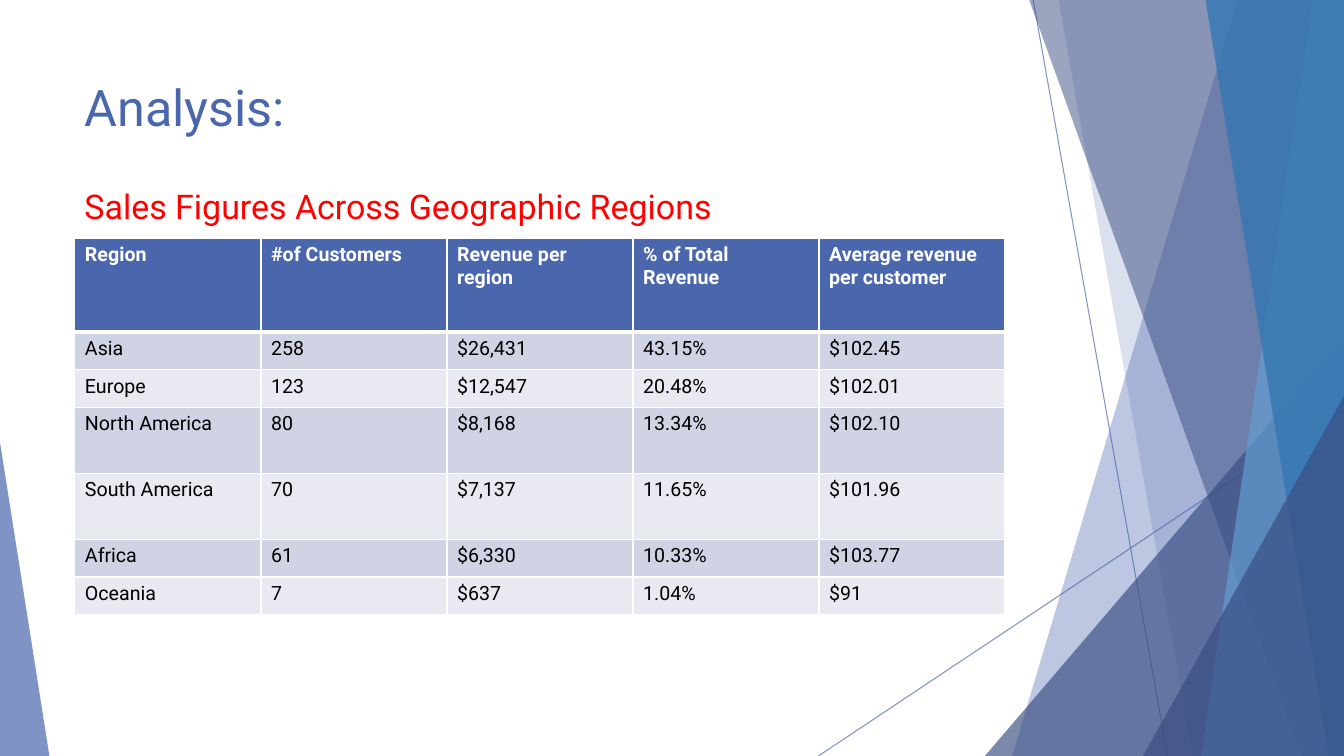
from lxml.etree import SubElement
from pptx import Presentation
from pptx.dml.color import RGBColor
from pptx.enum.shapes import MSO_CONNECTOR, MSO_SHAPE
from pptx.enum.text import MSO_ANCHOR
from pptx.oxml.ns import qn
from pptx.util import Pt

W, H = 960, 540
TOP = -0.6  # the facets start just above the slide
FONT = "Roboto"
COLORS = {
    "blue": "4A66AC", "navy": "384C81", "sky": "629DD1", "ocean": "3477B2",
    "red": "FF0000", "white": "FFFFFF", "black": "000000",
    "band_dark": "D0D3E3", "band_light": "E9EAF1",
}

ROWS = [
    ["Region", "#of Customers", "Revenue per region", "% of Total Revenue",
     "Average revenue per customer"],
    ["Asia", "258", "$26,431", "43.15%", "$102.45"],
    ["Europe", "123", "$12,547", "20.48%", "$102.01"],
    ["North America", "80", "$8,168", "13.34%", "$102.10"],
    ["South America", "70", "$7,137", "11.65%", "$101.96"],
    ["Africa", "61", "$6,330", "10.33%", "$103.77"],
    ["Oceania", "7", "$637", "1.04%", "$91"],
]
ROW_HEIGHTS = [67, 27, 27, 47, 47, 27, 27]
COL_WIDTH = 132.9


def rgb(name):
    return RGBColor.from_string(COLORS[name])


def set_alpha(shape, percent):
    clr = shape._element.spPr.find(".//" + qn("a:srgbClr"))
    SubElement(clr, qn("a:alpha")).set("val", str(percent * 1000))


def paint(shape, color, alpha):
    shape.shadow.inherit = False
    shape.fill.solid()
    shape.fill.fore_color.rgb = rgb(color)
    shape.line.fill.background()
    set_alpha(shape, alpha)


def add_line(s, x1, y1, x2, y2):
    line = s.shapes.add_connector(MSO_CONNECTOR.STRAIGHT, Pt(x1), Pt(y1), Pt(x2), Pt(y2))
    line.line.width = Pt(0.75)
    line.line.color.rgb = rgb("blue")
    set_alpha(line, 70)
    SubElement(line._element.spPr, qn("a:effectLst"))


def add_facet(s, top_x, bottom_x, color, alpha):
    """Four-sided facet reaching from a slanted left side to the slide edge."""
    fb = s.shapes.build_freeform(Pt(top_x), Pt(TOP))
    fb.add_line_segments([(Pt(W), Pt(TOP)), (Pt(W), Pt(H)), (Pt(bottom_x), Pt(H))])
    paint(fb.convert_to_shape(), color, alpha)


def add_triangle(s, x, y, w, apex, color, alpha):
    """Triangle standing on the bottom edge of the slide."""
    shape = s.shapes.add_shape(MSO_SHAPE.ISOSCELES_TRIANGLE, Pt(x), Pt(y), Pt(w), Pt(H - y))
    shape.adjustments[0] = apex
    paint(shape, color, alpha)


def add_run(p, text, size, color, bold=False):
    r = p.add_run()
    r.text = text
    for name, value in {"name": FONT, "size": Pt(size), "bold": bold}.items():
        setattr(r.font, name, value)
    r.font.color.rgb = rgb(color)


def add_title(s, heading, subheading):
    tf = s.shapes.add_textbox(Pt(53.3), Pt(48.2), Pt(676.8), Pt(103.7)).text_frame
    frame = {"word_wrap": True, "vertical_anchor": MSO_ANCHOR.TOP, "margin_top": Pt(6.3)}
    for name, value in frame.items():
        setattr(tf, name, value)
    add_run(tf.paragraphs[0], heading, 36, "blue")
    p = tf.add_paragraph()
    p.space_before = Pt(35)
    add_run(p, subheading, 24.3, "red")


def set_border(cell, side, width):
    ln = SubElement(cell._tc.get_or_add_tcPr(), qn("a:ln" + side), w=str(Pt(width)))
    fill = SubElement(ln, qn("a:solidFill"))
    SubElement(fill, qn("a:srgbClr")).set("val", COLORS["white"])


def format_cell(cell, text, row):
    header = row == 0
    widths = {"L": 1, "R": 1, "T": 3 if row == 1 else 1, "B": 3 if header else 1}
    for side, width in widths.items():
        set_border(cell, side, width)
    cell.fill.solid()
    band = "band_dark" if row % 2 else "band_light"
    cell.fill.fore_color.rgb = rgb("blue" if header else band)
    add_run(cell.text_frame.paragraphs[0], text, 14, "white" if header else "black", header)


def add_sales_table(s):
    n_cols = len(ROWS[0])
    table = s.shapes.add_table(len(ROWS), n_cols, Pt(53.5), Pt(170.2),
                               Pt(COL_WIDTH * n_cols), Pt(sum(ROW_HEIGHTS))).table
    for col in table.columns:
        col.width = Pt(COL_WIDTH)
    for i, (height, texts) in enumerate(zip(ROW_HEIGHTS, ROWS)):
        table.rows[i].height = Pt(height)
        for j, text in enumerate(texts):
            format_cell(table.cell(i, j), text, i)


def main():
    prs = Presentation()
    prs.slide_width, prs.slide_height = Pt(W), Pt(H)
    s = prs.slides.add_slide(prs.slide_layouts[6])

    # Faceted decoration, back to front
    add_line(s, 738, 0, 834, H)
    add_line(s, W, 290, 584.6, H)
    add_facet(s, 884.2, 723, "blue", 36)
    add_facet(s, 756, 852, "blue", 20)
    add_triangle(s, 703.5, 240, 256.5, 1, "navy", 66)
    add_facet(s, 735, 929.5, "navy", 50)
    add_facet(s, 938, 858, "sky", 70)
    add_facet(s, 861, 949, "ocean", 80)
    add_triangle(s, 816.5, 283, 143.5, 1, "navy", 66)
    add_triangle(s, 0, 316, 35.3, 0, "blue", 70)

    # Title and table
    add_title(s, "Analysis:", "Sales Figures Across Geographic Regions")
    add_sales_table(s)
    prs.save("out.pptx")


if __name__ == "__main__":
    main()
